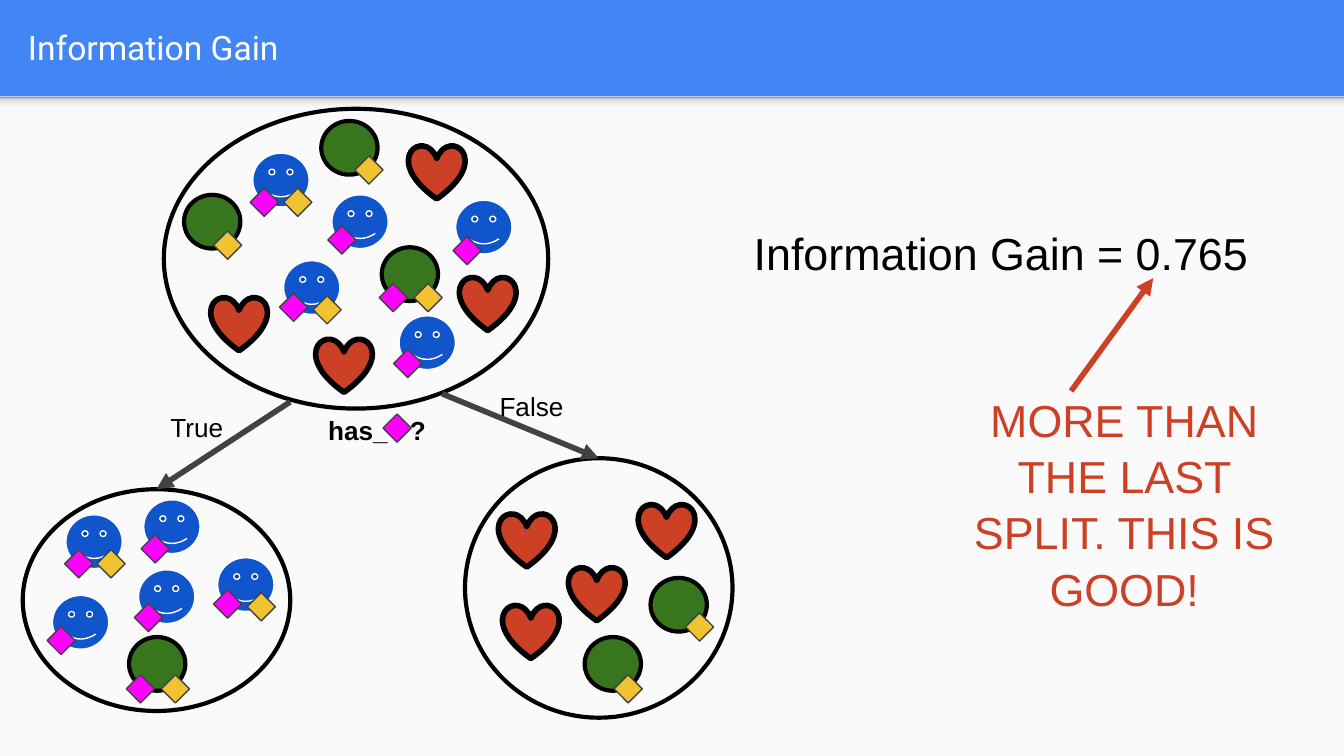
"""Build the Information Gain slide: a split tree of icons and its score."""
import pptx
import pptx.util
import pptx.dml.color
import pptx.enum.shapes
import pptx.enum.text
import pptx.oxml.ns
import lxml.etree

Pt = pptx.util.Pt
qn = pptx.oxml.ns.qn
Kind = pptx.enum.shapes.MSO_SHAPE
Align = pptx.enum.text.PP_ALIGN
Anchor = pptx.enum.text.MSO_ANCHOR
rgb = pptx.dml.color.RGBColor.from_string

hues = {
    "blue": "4285F4", "paper": "FAFAFA", "white": "FFFFFF", "black": "000000",
    "red": "CC4125", "green": "38761D", "navy": "1155CC", "gold": "F1C232",
    "pink": "FF00FF", "gray": "424242",
}
looks = {
    "heart": (Kind.HEART, "red", "black", 3),
    "disc": (Kind.OVAL, "green", "black", 2.25),
    "smile": (Kind.SMILEY_FACE, "navy", "white", 0.75),
    "gold": (Kind.DIAMOND, "gold", "gray", 0.75),
    "pink": (Kind.DIAMOND, "pink", "gray", 0.75),
    "set": (Kind.OVAL, None, "black", 2.25),
    "plain": (Kind.RECTANGLE, "paper", None, 0),
}


def draw(home, look, left, top, width, height):
    kind, fill, line, weight = looks[look]
    shape = home.add_shape(kind, Pt(left), Pt(top), Pt(width), Pt(height))
    shape.shadow.inherit = False
    if fill:
        shape.fill.solid()
        shape.fill.fore_color.rgb = rgb(hues[fill])
    else:
        shape.fill.background()
    if line:
        shape.line.color.rgb = rgb(hues[line])
        shape.line.width = Pt(weight)
    else:
        shape.line.fill.background()
    return shape


deck = pptx.Presentation()
deck.slide_width, deck.slide_height = Pt(720), Pt(405)
slide = deck.slides.add_slide(deck.slide_layouts[6])
slide.background.fill.solid()
slide.background.fill.fore_color.rgb = rgb(hues["blue"])
shapes = slide.shapes

draw(shapes, "plain", 0, 51.7, 720, 353.3)
band = draw(shapes, "plain", 0, 51.7, 720, 8.6)
band.fill.gradient()
band.fill.gradient_angle = 90
stops = band.element.spPr.find(".//" + qn("a:gsLst"))
for stop in list(stops):
    stops.remove(stop)
for place, shade in ((0, "F9F9F9"), (36, "F9F9F9"), (80, "DEDEDE"), (100, "999999")):
    stop = lxml.etree.SubElement(stops, qn("a:gs"), pos=str(place * 1000))
    lxml.etree.SubElement(stop, qn("a:srgbClr"), val=shade)

draw(shapes, "pink", 205.2, 221.8, 15.1, 15.1)
left_set = draw(shapes, "set", 12.2, 262.1, 143.3, 118.8)
right_set = draw(shapes, "set", 249.1, 245.5, 143.3, 139)
draw(shapes, "set", 87.8, 58.3, 205.9, 160.6)

arrows = [
    (573.8, 209.5, 617.8, 149, "red", None),
    (155.5, 215.3, 83.5, 262.1, "gray", left_set),
    (236.9, 211, 321.1, 245.5, "gray", right_set),
]
for x, y, end_x, end_y, hue, goal in arrows:
    arrow = shapes.add_connector(
        pptx.enum.shapes.MSO_CONNECTOR.STRAIGHT, Pt(x), Pt(y), Pt(end_x), Pt(end_y))
    arrow.line.color.rgb = rgb(hues[hue])
    arrow.line.width = Pt(3)
    if goal is not None:
        arrow.end_connect(goal, 0)
    lxml.etree.SubElement(arrow.line._get_or_add_ln(), qn("a:tailEnd"), type="triangle")
    lxml.etree.SubElement(arrow.element.spPr, qn("a:effectLst"))

texts = [
    (7.9, 1.4, 694.8, 47.5, ["Information Gain"], 18, "Roboto", "white", Align.LEFT, 1),
    (396.7, 112.3, 280.8, 67.7, ["Information Gain = 0.765"], 24, "Arial", "black", Align.LEFT, 1.05),
    (501.8, 201.6, 200.9, 149, ["MORE THAN THE LAST SPLIT. THIS IS GOOD!"], 24, "Arial", "red", Align.CENTER, 1.05),
    (155.5, 213.8, 92.9, 34.6, ["has_", " ", "?"], 14, "Arial", "black", Align.CENTER, 1.05),
    (249.1, 200.9, 71.3, 34.6, ["False"], 14, "Arial", "black", Align.CENTER, 1.05),
    (69.8, 212.4, 71.3, 34.6, ["True"], 14, "Arial", "black", Align.CENTER, 1.05),
]
for x, y, width, height, words, size, face, hue, align, pitch in texts:
    frame = shapes.add_textbox(Pt(x), Pt(y), Pt(width), Pt(height)).text_frame
    frame.word_wrap = True
    frame.margin_left = frame.margin_right = Pt(7.2)
    frame.margin_top = frame.margin_bottom = Pt(7.2)
    frame.vertical_anchor = Anchor.MIDDLE if face == "Roboto" else Anchor.TOP
    para = frame.paragraphs[0]
    para.alignment = align
    para.line_spacing = pitch
    for word in words:
        run = para.add_run()
        run.text = word
        run.font.size = Pt(size)
        run.font.name = face
        run.font.bold = len(words) > 1
        run.font.color.rgb = rgb(hues[hue])
        if word == " ":
            run.font._element.set("spc", "780")

hearts = [
    (304.6, 303.8), (269.3, 324), (267.1, 275), (342, 270),
    (218.9, 77.8), (169.2, 181.4), (246.2, 148.3), (113, 159.1),
]
for x, y in hearts:
    draw(shapes, "heart", x, y, 30.2, 28.8)

icons = [
    ("disc", 348.5, 309.6, {"gold": (18.7, 18.7)}),
    ("disc", 313.2, 341.3, {"gold": (15.8, 20.2)}),
    ("disc", 172.1, 64.8, {"gold": (18, 18.7)}),
    ("disc", 98.6, 104.4, {"gold": (15.8, 19.4)}),
    ("disc", 69.1, 341.3, {"gold": (17.3, 20.2), "pink": (-1.4, 20.2)}),
    ("disc", 204.5, 132.5, {"gold": (17.3, 19.4), "pink": (-1.4, 19.4)}),
    ("smile", 35.3, 275.8, {"gold": (16.6, 18.7), "pink": (-0.7, 18.7)}),
    ("smile", 116.6, 298.8, {"gold": (15.8, 18.7), "pink": (-2.2, 17.3)}),
    ("smile", 135.4, 82.1, {"gold": (16.6, 18.7), "pink": (-1.4, 18.7)}),
    ("smile", 151.9, 139.7, {"gold": (15.8, 18.7), "pink": (-2.2, 17.3)}),
    ("smile", 74.2, 305.3, {"pink": (-2.2, 18)}),
    ("smile", 77, 267.8, {"pink": (-1.4, 18.7)}),
    ("smile", 28.1, 319, {"pink": (-2.9, 16.6)}),
    ("smile", 213.8, 169.2, {"pink": (-2.9, 18)}),
    ("smile", 244.1, 107.3, {"pink": (-1.4, 19.4)}),
    ("smile", 177.8, 104.4, {"pink": (-2.2, 16.6)}),
]
for look, x, y, marks in icons:
    group = shapes.add_group_shape().shapes
    draw(group, look, x, y, 30.2, 28.8)
    for mark, (right, down) in marks.items():
        draw(group, mark, x + right, y + down, 15.1, 15.1)

deck.save("out.pptx")
